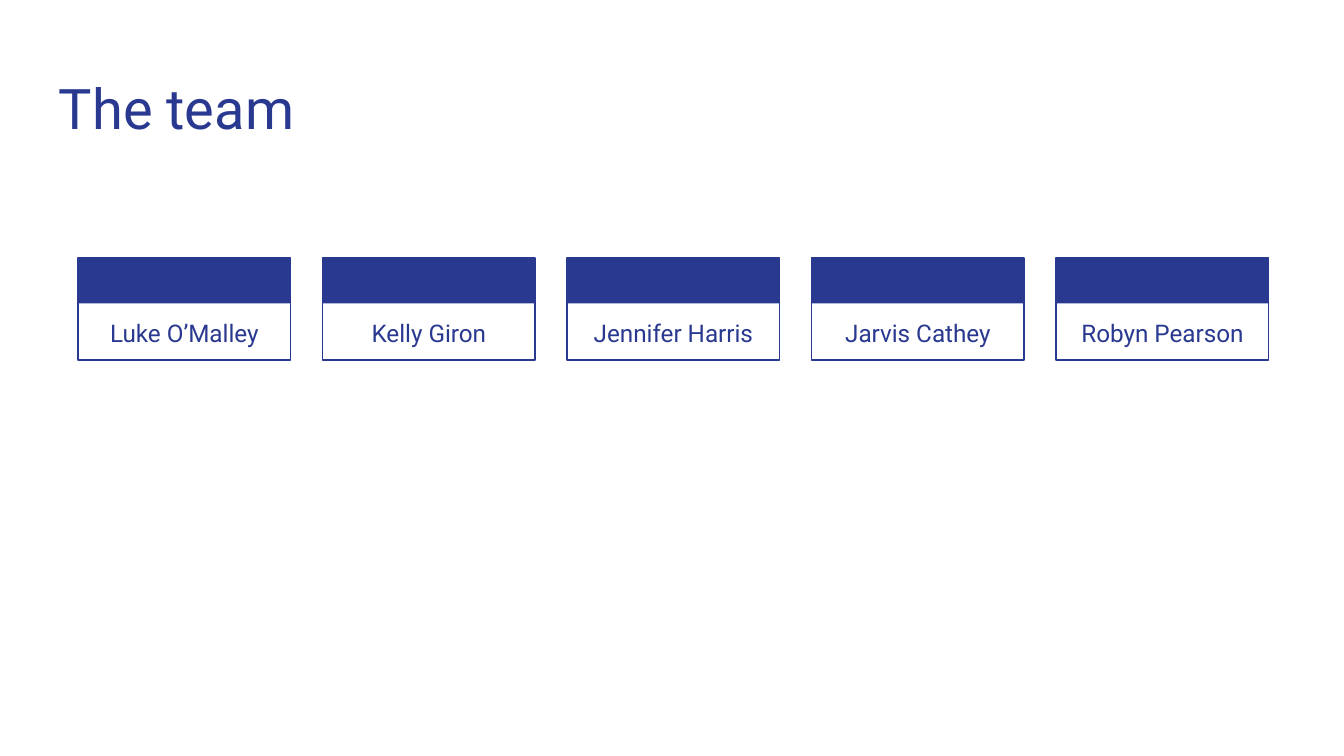
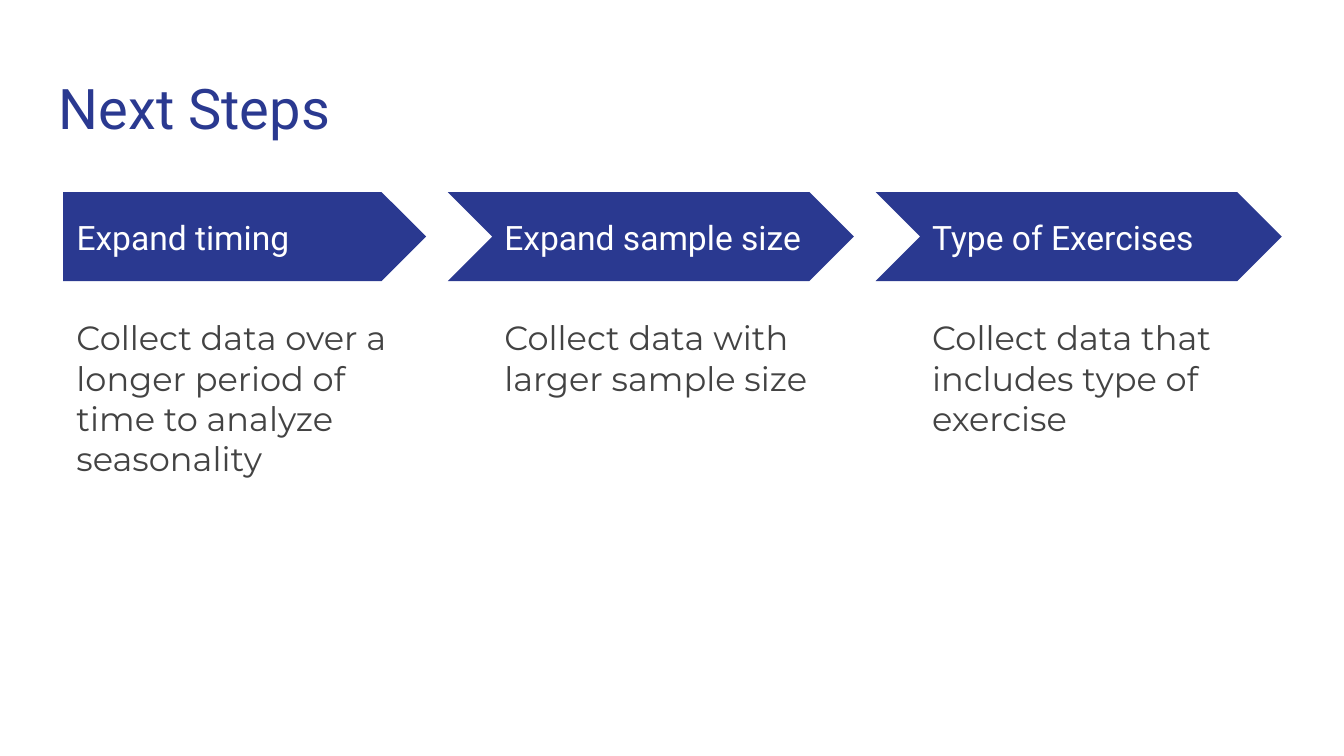
import pptx
import pptx.util
import pptx.dml.color
import pptx.enum.shapes
import pptx.enum.text

Pt = pptx.util.Pt
SHAPE = pptx.enum.shapes.MSO_SHAPE
ANCHOR = pptx.enum.text.MSO_ANCHOR
ALIGN = pptx.enum.text.PP_ALIGN

NAVY = pptx.dml.color.RGBColor(0x2A, 0x39, 0x90)
WHITE = pptx.dml.color.RGBColor(0xFF, 0xFF, 0xFF)
GREY = pptx.dml.color.RGBColor(0x43, 0x43, 0x43)
HEADING_FONT = "Roboto"
BODY_FONT = "Montserrat"
INSET = 7.2


def add_text(slide, text, left, top, width, height, size=18, font=HEADING_FONT,
             color=NAVY, align=ALIGN.LEFT, anchor=ANCHOR.TOP):
    frame = slide.shapes.add_textbox(Pt(left), Pt(top), Pt(width), Pt(height)).text_frame
    frame.word_wrap = True
    frame.vertical_anchor = anchor
    frame.margin_left = frame.margin_right = Pt(INSET)
    frame.margin_top = frame.margin_bottom = Pt(INSET)
    paragraph = frame.paragraphs[0]
    paragraph.alignment = align
    run = paragraph.add_run()
    run.text = text
    run.font.size = Pt(size)
    run.font.name = font
    run.font.color.rgb = color


def add_block(slide, preset, left, top, width, height, filled=True):
    block = slide.shapes.add_shape(preset, Pt(left), Pt(top), Pt(width), Pt(height))
    block.shadow.inherit = False
    if filled:
        block.fill.solid()
        block.fill.fore_color.rgb = NAVY
        block.line.fill.background()
    else:
        block.fill.background()
        block.line.color.rgb = NAVY
        block.line.width = Pt(0.75)


deck = pptx.Presentation()
deck.slide_width = Pt(720)
deck.slide_height = Pt(405)

slides = []
for title in ["The team", "Next Steps"]:
    slide = deck.slides.add_slide(deck.slide_layouts[6])
    slide.background.fill.solid()
    slide.background.fill.fore_color.rgb = WHITE
    add_text(slide, title, 24.5, 32.4, 671, 47.5, size=30)
    slides.append(slide)
team_slide, steps_slide = slides

members = ["Luke O’Malley", "Kelly Giron", "Jennifer Harris", "Jarvis Cathey", "Robyn Pearson"]
card_top, card_width, card_pitch = 138.2, 113.8, 131
for index, member in enumerate(members):
    card_left = 41.8 + index * card_pitch
    add_block(team_slide, SHAPE.RECTANGLE, card_left, card_top, card_width, 54.8, filled=False)
    add_block(team_slide, SHAPE.RECTANGLE, card_left, card_top, card_width, 24.4)
    add_text(team_slide, member, card_left, 170.6, card_width, 15.2, size=13,
             align=ALIGN.CENTER, anchor=ANCHOR.MIDDLE)

steps = [
    ("Expand timing", "Collect data over a longer period of time to analyze seasonality"),
    ("Expand sample size", "Collect data with larger sample size"),
    ("Type of Exercises", "Collect data that includes type of exercise"),
]
step_width, step_pitch, notch = 194.4, 229.2, 23.2
for index, (heading, detail) in enumerate(steps):
    step_left = 33.9 + index * step_pitch
    preset, overhang = (SHAPE.CHEVRON, notch) if index else (SHAPE.PENTAGON, 0)
    add_block(steps_slide, preset, step_left - overhang, 102.9, step_width + overhang, 47.7)
    add_text(steps_slide, heading, step_left, 114.6, 178, 24.3, color=WHITE, anchor=ANCHOR.MIDDLE)
    add_text(steps_slide, detail, step_left, 162.7, step_width, 209, font=BODY_FONT, color=GREY)

deck.save("out.pptx")
